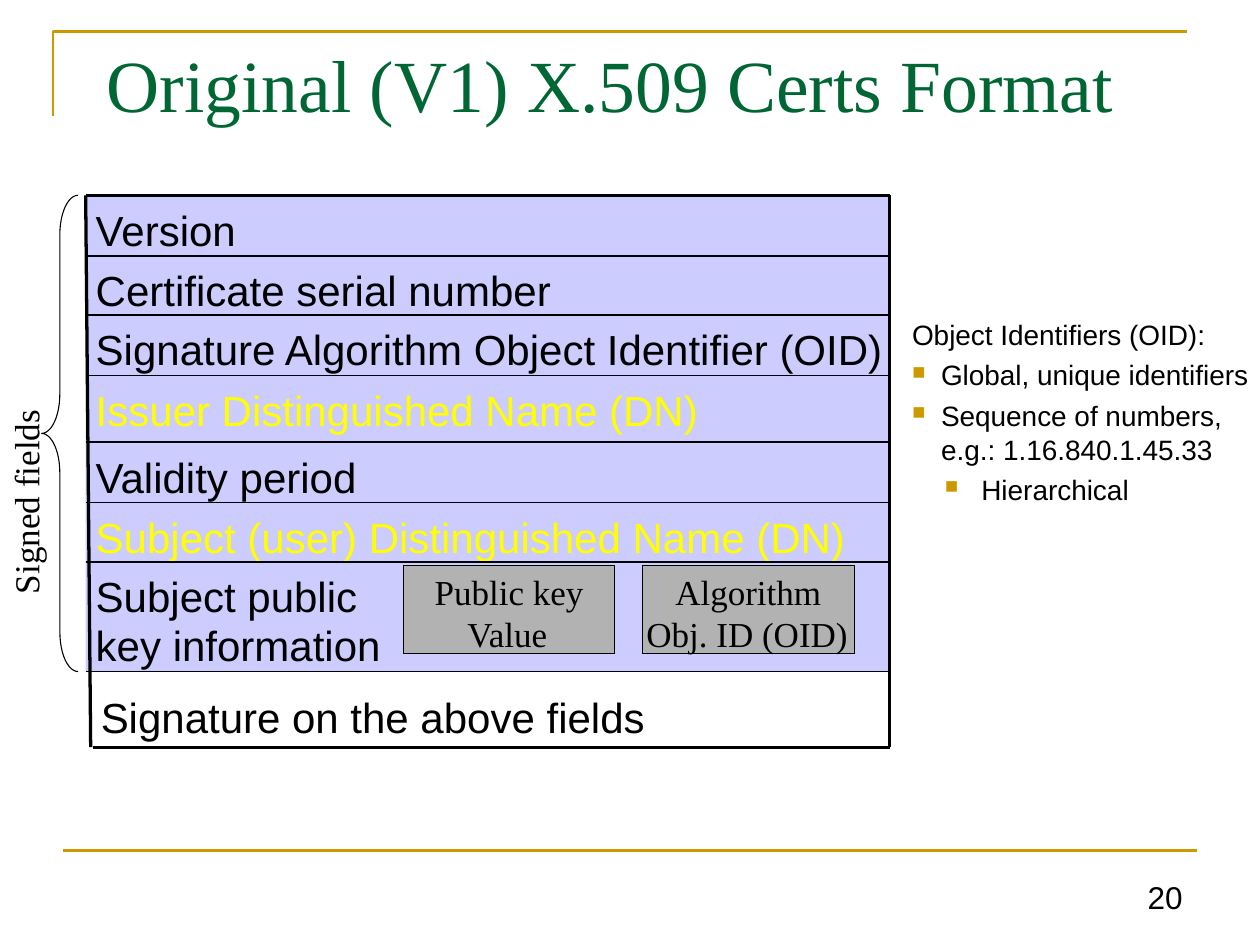
from lxml import etree
from pptx import Presentation
from pptx import util as u
from pptx.dml.color import RGBColor
from pptx.enum import shapes, text
from pptx.oxml import ns

COLORS = {"gold": "CC9900", "green": "006633", "black": "000000",
          "yellow": "FFFF00", "lilac": "CCCCFF", "gray": "B2B2B2"}
SANS, SERIF = "Arial", "Times New Roman"
LEFT, RIGHT = 0.68, 7.06
TOP, BOTTOM = 1.55, 5.93
SIGNED_END = 5.33
ROWS = [
    (1.55, ["Version"], "black"),
    (2.03, ["Certificate serial number"], "black"),
    (2.5, ["Signature Algorithm Object Identifier (OID)"], "black"),
    (2.98, ["Issuer Distinguished Name (DN)"], "yellow"),
    (3.51, ["Validity period"], "black"),
    (3.99, ["Subject (user) Distinguished Name (DN)"], "yellow"),
    (4.46, ["Subject public", "key information"], "black"),
]
KEY_PARTS = [
    (3.2, [("Public key", 0.25, 1.36), ("Value", 0.51, 0.82)]),
    (5.1, [("Algorithm", 0.26, 1.33), ("Obj. ID (OID)", 0.03, 1.78)]),
]
OID_NOTES = [
    ("Object Identifiers (OID):", 0, 0),
    ("Global, unique identifiers", 0.23, 0.23),
    ("Sequence of numbers,\ve.g.: 1.16.840.1.45.33", 0.23, 0.23),
    ("Hierarchical", 0.55, 0.29),
]


def rgb(name):
    return RGBColor.from_string(COLORS[name])


def style_line(line, color, width):
    line.color.rgb = rgb(color)
    line.width = u.Pt(width)


def set_font(para, size, face, color):
    para.font.size = u.Pt(size)
    para.font.name = face
    para.font.color.rgb = rgb(color)


def add_line(page, start, end, color, width):
    line = page.shapes.add_connector(
        shapes.MSO_CONNECTOR.STRAIGHT, *map(u.Inches, start + end))
    style_line(line.line, color, width)
    etree.SubElement(line._element.spPr, ns.qn("a:effectLst"))


def add_shape(page, kind, place, fill=None, line_width=None):
    shape = page.shapes.add_shape(kind, *map(u.Inches, place))
    shape.shadow.inherit = False
    if fill:
        shape.fill.solid()
        shape.fill.fore_color.rgb = rgb(fill)
    else:
        shape.fill.background()
    if line_width:
        style_line(shape.line, "black", line_width)
    else:
        shape.line.fill.background()
    return shape


def add_frame(page, place, insets=(0, 0)):
    box = page.shapes.add_textbox(*map(u.Inches, place))
    frame = box.text_frame
    frame.word_wrap = True
    frame.margin_left = frame.margin_right = u.Inches(insets[0])
    frame.margin_top = frame.margin_bottom = u.Inches(insets[1])
    return box


def add_label(page, words, place, size, face, color="black", insets=(0, 0)):
    box = add_frame(page, place, insets)
    para = box.text_frame.paragraphs[0]
    para.text = words
    set_font(para, size, face, color)
    return box


def add_bullet(para, margin, hanging):
    props = para._p.get_or_add_pPr()
    props.set("marL", str(u.Inches(margin)))
    props.set("indent", str(-u.Inches(hanging)))
    color = etree.Element(ns.qn("a:buClr"))
    etree.SubElement(color, ns.qn("a:srgbClr"), val=COLORS["gold"])
    size = etree.Element(ns.qn("a:buSzPct"), val="65000")
    char = etree.Element(ns.qn("a:buChar"), char="■")
    position = len(props.findall(ns.qn("a:spcBef")))
    for offset, part in enumerate((color, size, char)):
        props.insert(position + offset, part)


def add_page_frame(page):
    builder = page.shapes.build_freeform(u.Inches(0.42), u.Inches(0.92))
    builder.add_line_segments(
        [(u.Inches(0.42), u.Inches(0.25)), (u.Inches(9.42), u.Inches(0.25))],
        close=False)
    corner = builder.convert_to_shape()
    corner.shadow.inherit = False
    corner.fill.background()
    style_line(corner.line, "gold", 1.5)
    add_line(page, (0.5, 6.75), (9.5, 6.75), "gold", 1.5)
    add_label(page, "Original (V1) X.509 Certs Format", (0.75, 0.19, 8.5, 1.06),
              42, SERIF, "green", (0.1, 0.12))
    number = add_label(page, "20", (9.01, 6.83, 0.48, 0.49), 18, SANS,
                       insets=(0.1, 0.05))
    number.text_frame.vertical_anchor = text.MSO_ANCHOR.BOTTOM


def add_certificate(page):
    ends = [top for top, _, _ in ROWS[1:]] + [SIGNED_END]
    for (top, lines, color), end in zip(ROWS, ends):
        add_shape(page, shapes.MSO_SHAPE.RECTANGLE,
                  (LEFT, top, RIGHT - LEFT, end - top), "lilac")
        for index, words in enumerate(lines):
            add_label(page, words, (0.76, top + 0.07 + 0.39 * index, 6.41, 0.44),
                      24, SANS, color)
    add_label(page, "Signature on the above fields", (0.8, 5.49, 4.56, 0.44),
              24, SANS)
    for end in ends:
        add_line(page, (LEFT, end), (RIGHT, end), "black", 0.88)
    for start, end in [((LEFT, TOP), (RIGHT, TOP)),
                       ((0.74, BOTTOM), (RIGHT, BOTTOM)),
                       ((LEFT, TOP), (0.72, BOTTOM)),
                       ((RIGHT, TOP), (RIGHT, BOTTOM))]:
        add_line(page, start, end, "black", 1.88)


def add_signed_brace(page):
    brace = add_shape(page, shapes.MSO_SHAPE.LEFT_BRACE,
                      (0.33, TOP, 0.29, SIGNED_END - TOP), line_width=0.63)
    brace.adjustments[0] = 1.08
    brace.adjustments[1] = 0.5
    label = add_label(page, "Signed fields", (-0.59, 3.69, 1.65, 0.4), 20, SERIF)
    label.rotation = 270


def add_key_parts(page):
    for left, lines in KEY_PARTS:
        add_shape(page, shapes.MSO_SHAPE.RECTANGLE, (left, 4.49, 1.68, 0.7),
                  "gray", 0.63)
        for index, (words, offset, width) in enumerate(lines):
            add_label(page, words,
                      (left + offset, 4.53 + 0.33 * index, width, 0.4), 20, SERIF)


def add_oid_notes(page):
    frame = add_frame(page, (7.14, 2.47, 3.11, 1.84), (0.1, 0.05)).text_frame
    for index, (words, margin, hanging) in enumerate(OID_NOTES):
        para = frame.add_paragraph() if index else frame.paragraphs[0]
        para.text = words
        para.space_before = u.Pt(4)
        set_font(para, 16, SANS, "black")
        if hanging:
            add_bullet(para, margin, hanging)
    frame.paragraphs[-1].level = 1


def main():
    deck = Presentation()
    deck.slide_width, deck.slide_height = u.Inches(10), u.Inches(7.5)
    page = deck.slides.add_slide(deck.slide_layouts[6])
    add_page_frame(page)
    add_oid_notes(page)
    add_certificate(page)
    add_signed_brace(page)
    add_key_parts(page)
    deck.save("out.pptx")


if __name__ == "__main__":
    main()
